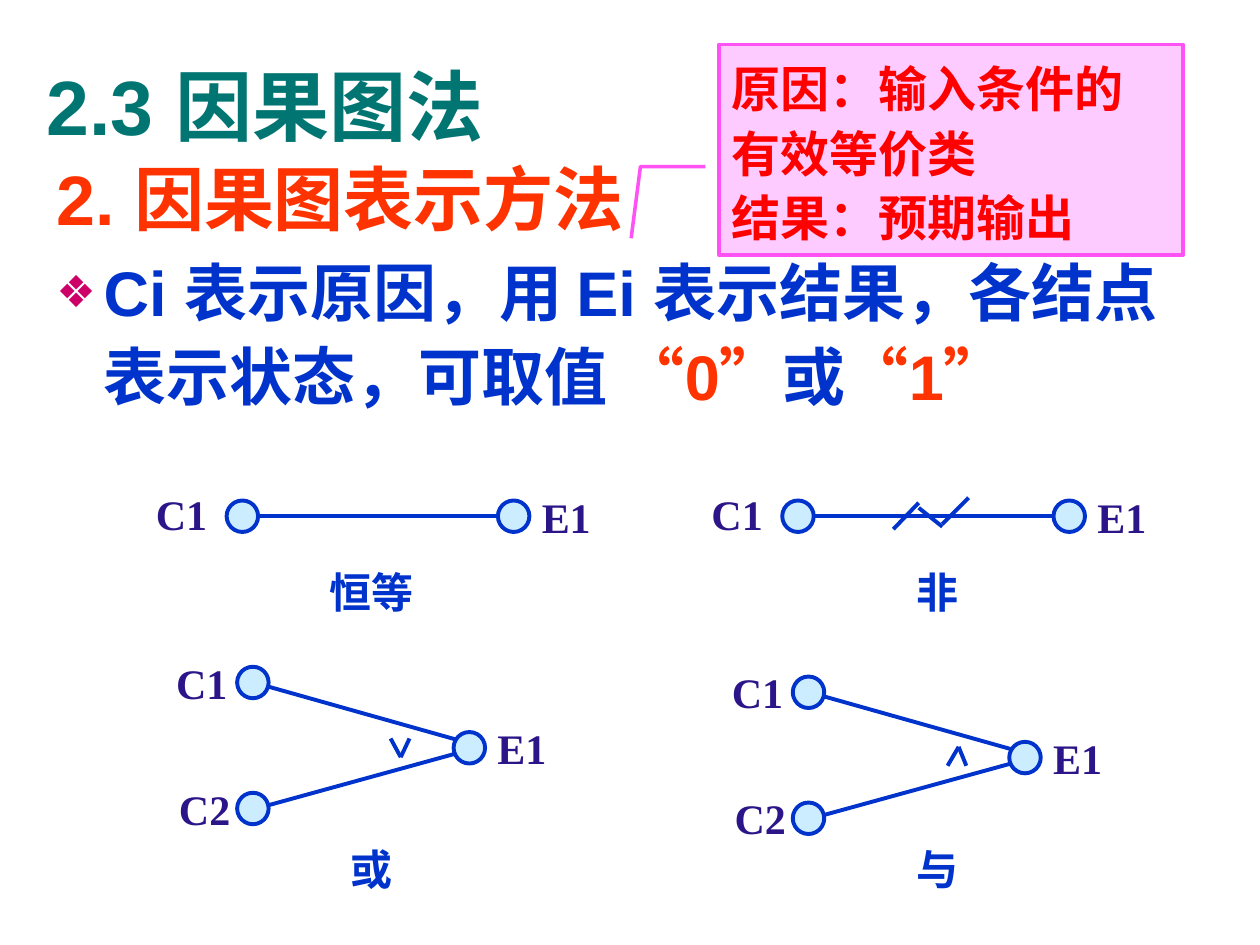
from lxml.etree import SubElement
from pptx import Presentation
from pptx.dml.color import RGBColor
from pptx.enum.lang import MSO_LANGUAGE_ID as LANG
from pptx.enum.shapes import MSO_CONNECTOR as CONN, MSO_SHAPE as SHAPE
from pptx.enum.text import MSO_ANCHOR as ANCHOR, MSO_AUTO_SIZE as AUTO, PP_ALIGN as ALIGN
from pptx.oxml.ns import qn
from pptx.util import Pt

COLORS = {"title": "007572", "red": "FF3300", "blue": "0033CC", "label": "2C1588",
          "node": "CCECFF", "bullet": "CC0066", "note": "FDCBFF",
          "note_line": "FE52F4", "note_text": "FF0000"}
CJK = "Noto Sans CJK JP"


def color(key):
    return RGBColor.from_string(COLORS[key])


def add_run(p, text, size, key, name="Arial"):
    r = p.add_run()
    r.text = text
    for attr, value in {"size": Pt(size), "bold": True, "name": name,
                        "language_id": LANG.SIMPLIFIED_CHINESE}.items():
        setattr(r.font, attr, value)
    r.font.color.rgb = color(key)
    SubElement(r._r.get_or_add_rPr(), qn("a:ea"), typeface=CJK)


prs = Presentation()
prs.slide_width, prs.slide_height = Pt(720), Pt(540)
s = prs.slides.add_slide(prs.slide_layouts[1])

title, body = s.shapes.title, s.placeholders[1]
for sp, box, anchor in [(title, (19.5, 15, 672.5, 90), ANCHOR.MIDDLE),
                        (body, (25, 83, 669, 417), ANCHOR.TOP)]:
    sp.left, sp.top, sp.width, sp.height = map(Pt, box)
    for attr, value in {"auto_size": AUTO.NONE, "word_wrap": True,
                        "vertical_anchor": anchor}.items():
        setattr(sp.text_frame, attr, value)

p = title.text_frame.paragraphs[0]
p.alignment = ALIGN.LEFT
add_run(p, "2.3 因果图法", 44, "title")

paragraphs = [
    (1.05, 2, None, 40, [("2. 因果图表示方法", "red")]),
    (1.1, 1.8, "❖", 36, [("Ci 表示原因，用 Ei 表示结果，各结点表示状态，可取值 ", "blue"),
                         ("“0”", "red"), ("或", "blue"), ("“1”", "red")]),
]
tf = body.text_frame
for i, (spacing, gap, bullet, size, runs) in enumerate(paragraphs):
    p = tf.add_paragraph() if i else tf.paragraphs[0]
    p.line_spacing, p.space_before, p.space_after = spacing, Pt(gap), Pt(gap)
    pPr = p._p.get_or_add_pPr()
    pPr.set("marL", str(Pt(27)))
    pPr.set("indent", str(-Pt(27)))
    if bullet:
        SubElement(SubElement(pPr, qn("a:buClr")), qn("a:srgbClr"), val=COLORS["bullet"])
        SubElement(pPr, qn("a:buSzPct"), val="70000")
        SubElement(pPr, qn("a:buChar"), char=bullet)
    else:
        SubElement(pPr, qn("a:buNone"))
    for text, key in runs:
        add_run(p, text, size, key)

pair = {
    "nodes": [(129.5, 286), (284.5, 286)],
    "lines": [(147.5, 295, 284.5, 295)],
    "labels": [("C1", 82, 275.8), ("E1", 302.5, 277.2)],
}
fork = {
    "nodes": [(135.5, 381), (259.2, 418.3), (135.5, 453)],
    "lines": [(153.5, 392.4, 260.6, 422.6), (153.5, 460.1, 260.6, 430.6)],
    "labels": [("C1", 93.6, 372), ("E1", 277.2, 409.6), ("C2", 95.2, 444)],
}
not_mark = [(193, 302.4, 207.5, 287.3), (207.5, 290.2, 221, 301), (221, 299.5, 236, 284.4)]
or_mark = [(223.2, 422, 229, 432.7), (234, 422, 229, 432.7)]
and_mark = [(224, 432, 230.3, 421.2), (234.7, 432, 230.3, 421.2)]
COLUMN = 317.5

diagrams = [
    (pair, [], 0, 0, "恒等", 161.3, 321),
    (pair, not_mark, COLUMN, 0, "非", 484.5, 321),
    (fork, or_mark, 0, 0, "或", 161.3, 479.5),
    (fork, and_mark, COLUMN, 5.6, "与", 484.5, 479.5),
]
for graph, mark, dx, dy, caption, x, y in diagrams:
    group = s.shapes.add_group_shape()
    for x1, y1, x2, y2 in graph["lines"] + mark:
        line = group.shapes.add_connector(
            CONN.STRAIGHT, Pt(x1 + dx), Pt(y1 + dy), Pt(x2 + dx), Pt(y2 + dy))
        line.line.color.rgb = color("blue")
        line.line.width = Pt(2.25)
        SubElement(line._element.spPr, qn("a:effectLst"))
    for nx, ny in graph["nodes"]:
        sp = group.shapes.add_shape(SHAPE.OVAL, Pt(nx + dx), Pt(ny + dy), Pt(18), Pt(18))
        sp.shadow.inherit = False
        sp.fill.solid()
        sp.fill.fore_color.rgb = color("node")
        sp.line.color.rgb = color("blue")
        sp.line.width = Pt(2.25)
    for text, lx, ly in graph["labels"]:
        tf = group.shapes.add_textbox(Pt(lx + dx), Pt(ly + dy), Pt(44), Pt(36)).text_frame
        tf.word_wrap = False
        add_run(tf.paragraphs[0], text, 24, "label", "Times New Roman")
    tf = s.shapes.add_textbox(Pt(x), Pt(y), Pt(102), Pt(34)).text_frame
    tf.word_wrap, tf.vertical_anchor = False, ANCHOR.MIDDLE
    tf.paragraphs[0].alignment = ALIGN.CENTER
    add_run(tf.paragraphs[0], caption, 24, "blue")

note = s.shapes.add_shape(SHAPE.LINE_CALLOUT_2, Pt(411), Pt(25.3), Pt(265), Pt(120.5))
for i, value in enumerate([0.58, -0.03, 0.58, -0.17, 0.92, -0.19]):
    note.adjustments[i] = value
note.shadow.inherit = False
note.fill.solid()
note.fill.fore_color.rgb = color("note")
note.line.color.rgb = color("note_line")
note.line.width = Pt(2)
tf = note.text_frame
tf.word_wrap, tf.vertical_anchor = True, ANCHOR.MIDDLE
for i, text in enumerate(["原因：输入条件的有效等价类", "结果：预期输出"]):
    p = tf.add_paragraph() if i else tf.paragraphs[0]
    p.alignment, p.line_spacing = ALIGN.LEFT, 1.1
    add_run(p, text, 28, "note_text", CJK)

prs.save("out.pptx")
